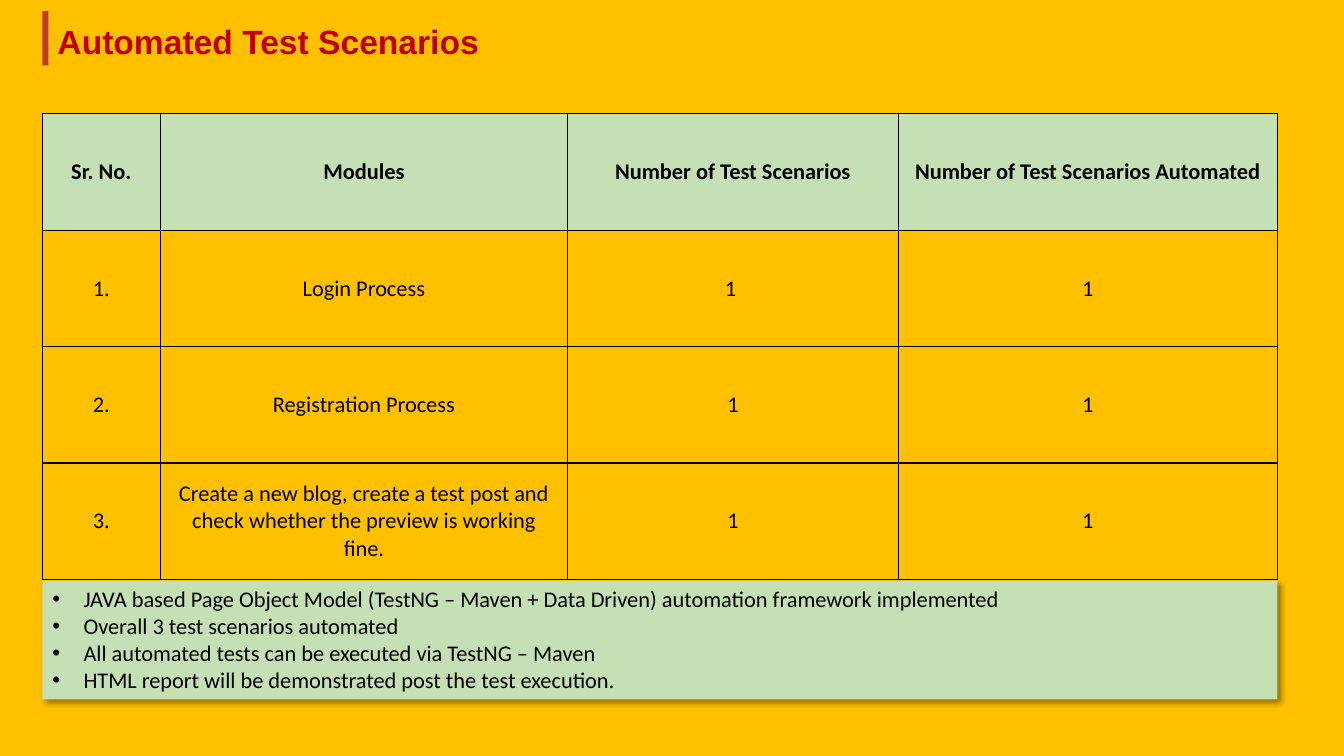
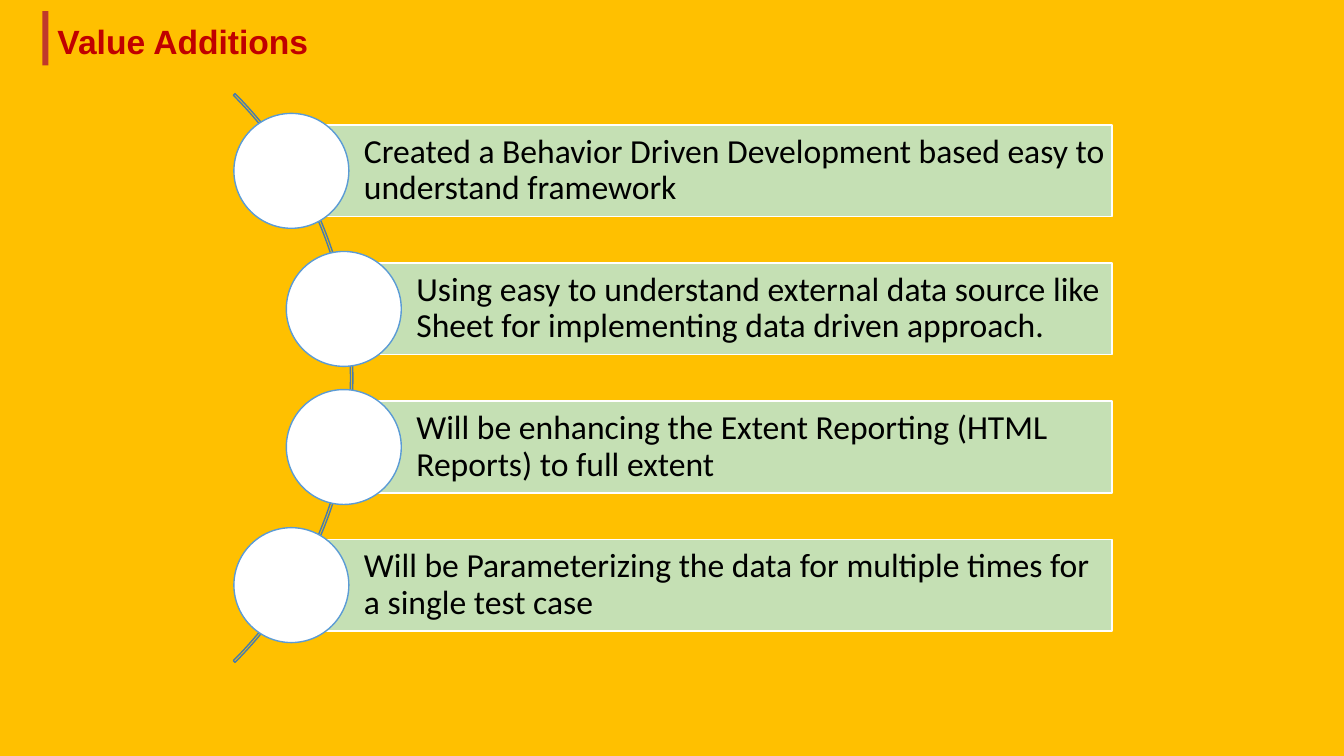
from lxml.etree import SubElement
from pptx import Presentation
from pptx.dml.color import RGBColor
from pptx.enum.shapes import MSO_SHAPE
from pptx.enum.text import MSO_ANCHOR, MSO_AUTO_SIZE, PP_ALIGN
from pptx.oxml.ns import qn
from pptx.util import Inches, Pt

GOLD, GREEN, RED, ACCENT = "FFC000", "C5E0B4", "C00000", "C0392B"
BLACK, WHITE, ARC_BLUE, CIRCLE_BLUE = "000000", "FFFFFF", "497CAB", "5B9BD5"
LEFT, CONTENT_WIDTH = 0.42, 12.25

COLUMN_WIDTHS = [1.17, 4.04, 3.28, 3.76]
SCENARIOS = [
    ["Sr. No.", "Modules", "Number of Test Scenarios", "Number of Test Scenarios Automated"],
    ["1.", "Login Process", "1 ", "1"],
    ["2.", "Registration Process", "1", "1"],
    ["3.", "Create a new blog, create a test post and check whether the preview is working fine.", "1", "1"],
]
NOTES = [
    "JAVA based Page Object Model (TestNG – Maven + Data Driven) automation framework implemented",
    "Overall 3 test scenarios automated",
    "All automated tests can be executed via TestNG – Maven",
    "HTML report will be demonstrated post the test execution.",
]
ADDITIONS = [
    (2.89, "Created a Behavior Driven Development based easy to understand framework"),
    (3.41, "Using easy to understand external data source like Sheet for implementing data driven approach."),
    (3.41, "Will be enhancing the Extent Reporting (HTML Reports) to full extent"),
    (2.89, "Will be Parameterizing the data for multiple times for a single test case"),
]


def color(hex_code):
    """Turn a hex string into a colour."""
    return RGBColor.from_string(hex_code)


def set_font(paragraph, size, name="Calibri", hex_code=BLACK, bold=False):
    """Format the font of a whole paragraph."""
    font = paragraph.font
    font.name, font.size, font.bold = name, Pt(size), bold
    font.color.rgb = color(hex_code)


def add_box(slide, kind, left, top, width, height, fill=None, line=None):
    """Add a flat preset shape with optional fill and outline."""
    shape = slide.shapes.add_shape(kind, Inches(left), Inches(top), Inches(width), Inches(height))
    shape.shadow.inherit = False
    if fill:
        shape.fill.solid()
        shape.fill.fore_color.rgb = color(fill)
    else:
        shape.fill.background()
    if line:
        shape.line.color.rgb = color(line)
        shape.line.width = Pt(1)
    else:
        shape.line.fill.background()
    return shape


def add_titled_slide(presentation, title):
    """Add a slide with the accent bar and the red title."""
    slide = presentation.slides.add_slide(presentation.slide_layouts[5])
    add_box(slide, MSO_SHAPE.RECTANGLE, LEFT, 0.11, 0.06, 0.54, ACCENT)
    shape = slide.shapes.title
    shape.left, shape.top = Inches(0.47), Inches(0.16)
    shape.width, shape.height = Inches(10.43), Inches(0.5)
    frame = shape.text_frame
    frame.text = title
    frame.auto_size = MSO_AUTO_SIZE.NONE
    frame.vertical_anchor = MSO_ANCHOR.TOP
    frame.paragraphs[0].alignment = PP_ALIGN.LEFT
    set_font(frame.paragraphs[0], 24, "Arial", RED, True)
    return slide


def add_borders(cell):
    """Draw a thin black line on each side of a table cell."""
    properties = cell._tc.get_or_add_tcPr()
    for side in ("a:lnL", "a:lnR", "a:lnT", "a:lnB"):
        line = SubElement(properties, qn(side), w=str(Pt(1)))
        SubElement(SubElement(line, qn("a:solidFill")), qn("a:srgbClr"), val=BLACK)


def add_table(slide, rows, widths, top, height):
    """Add a bordered, centred table with a green header row."""
    frame = slide.shapes.add_table(len(rows), len(widths), Inches(LEFT), Inches(top),
                                   Inches(CONTENT_WIDTH), Inches(height))
    table = frame.table
    table.horz_banding = False
    for column, width in zip(table.columns, widths):
        column.width = Inches(width)
    for row_index, row in enumerate(rows):
        for column_index, text in enumerate(row):
            cell = table.cell(row_index, column_index)
            cell.text = text
            cell.vertical_anchor = MSO_ANCHOR.MIDDLE
            add_borders(cell)
            if row_index == 0:
                cell.fill.solid()
                cell.fill.fore_color.rgb = color(GREEN)
            else:
                cell.fill.background()
            paragraph = cell.text_frame.paragraphs[0]
            paragraph.alignment = PP_ALIGN.CENTER
            set_font(paragraph, 16, bold=row_index == 0)


def add_shadow(shape):
    """Give a shape a soft shadow to the lower right."""
    effects = shape._element.spPr.find(qn("a:effectLst"))
    shadow = SubElement(effects, qn("a:outerShdw"), blurRad=str(Pt(4)), dist=str(Pt(3)),
                        dir="2700000", algn="tl", rotWithShape="0")
    black = SubElement(shadow, qn("a:srgbClr"), val=BLACK)
    SubElement(black, qn("a:alpha"), val="40000")


def add_bullet(paragraph):
    """Turn a paragraph into a bullet with a hanging indent."""
    properties = paragraph._p.get_or_add_pPr()
    indent = Inches(0.31)
    properties.set("marL", str(indent))
    properties.set("indent", str(-indent))
    SubElement(properties, qn("a:buFont"), typeface="Arial")
    SubElement(properties, qn("a:buChar"), char="•")


def add_notes_panel(slide, notes):
    """Add the shadowed green panel of bullets."""
    shape = add_box(slide, MSO_SHAPE.RECTANGLE, LEFT, 5.76, CONTENT_WIDTH, 1.18, GREEN)
    add_shadow(shape)
    frame = shape.text_frame
    frame.vertical_anchor = MSO_ANCHOR.TOP
    frame.text = "\n".join(notes)
    for paragraph in frame.paragraphs:
        paragraph.alignment = PP_ALIGN.LEFT
        add_bullet(paragraph)
        set_font(paragraph, 16)


def add_curved_list(slide, items):
    """Add bars led by circles that follow an arc."""
    right, first_top, pitch, height, diameter = 11.03, 1.24, 1.37, 0.91, 1.14
    arc = add_box(slide, MSO_SHAPE.BLOCK_ARC, -4.48, -0.24, 7.98, 7.98, line=ARC_BLUE)
    for index, value in enumerate((189, 27, 0.003)):
        arc.adjustments[index] = value
    for index, (left, text) in enumerate(items):
        top = first_top + index * pitch
        bar = add_box(slide, MSO_SHAPE.RECTANGLE, left, top, right - left, height, GREEN, WHITE)
        frame = bar.text_frame
        frame.text = text
        frame.margin_left = Inches(0.72)
        frame.margin_top = frame.margin_right = frame.margin_bottom = Inches(0.07)
        paragraph = frame.paragraphs[0]
        paragraph.alignment = PP_ALIGN.LEFT
        paragraph.line_spacing = 0.9
        set_font(paragraph, 24)
        add_box(slide, MSO_SHAPE.OVAL, left - diameter / 2, top + (height - diameter) / 2,
                diameter, diameter, WHITE, CIRCLE_BLUE)


def main():
    """Build and save the presentation."""
    presentation = Presentation()
    presentation.slide_width, presentation.slide_height = Inches(13.33), Inches(7.5)
    background = presentation.slide_master.background.fill
    background.solid()
    background.fore_color.rgb = color(GOLD)

    scenarios_slide = add_titled_slide(presentation, "Automated Test Scenarios")
    add_notes_panel(scenarios_slide, NOTES)
    add_table(scenarios_slide, SCENARIOS, COLUMN_WIDTHS, 1.13, 4.62)

    additions_slide = add_titled_slide(presentation, "Value Additions")
    add_curved_list(additions_slide, ADDITIONS)

    presentation.save("out.pptx")


if __name__ == "__main__":
    main()
